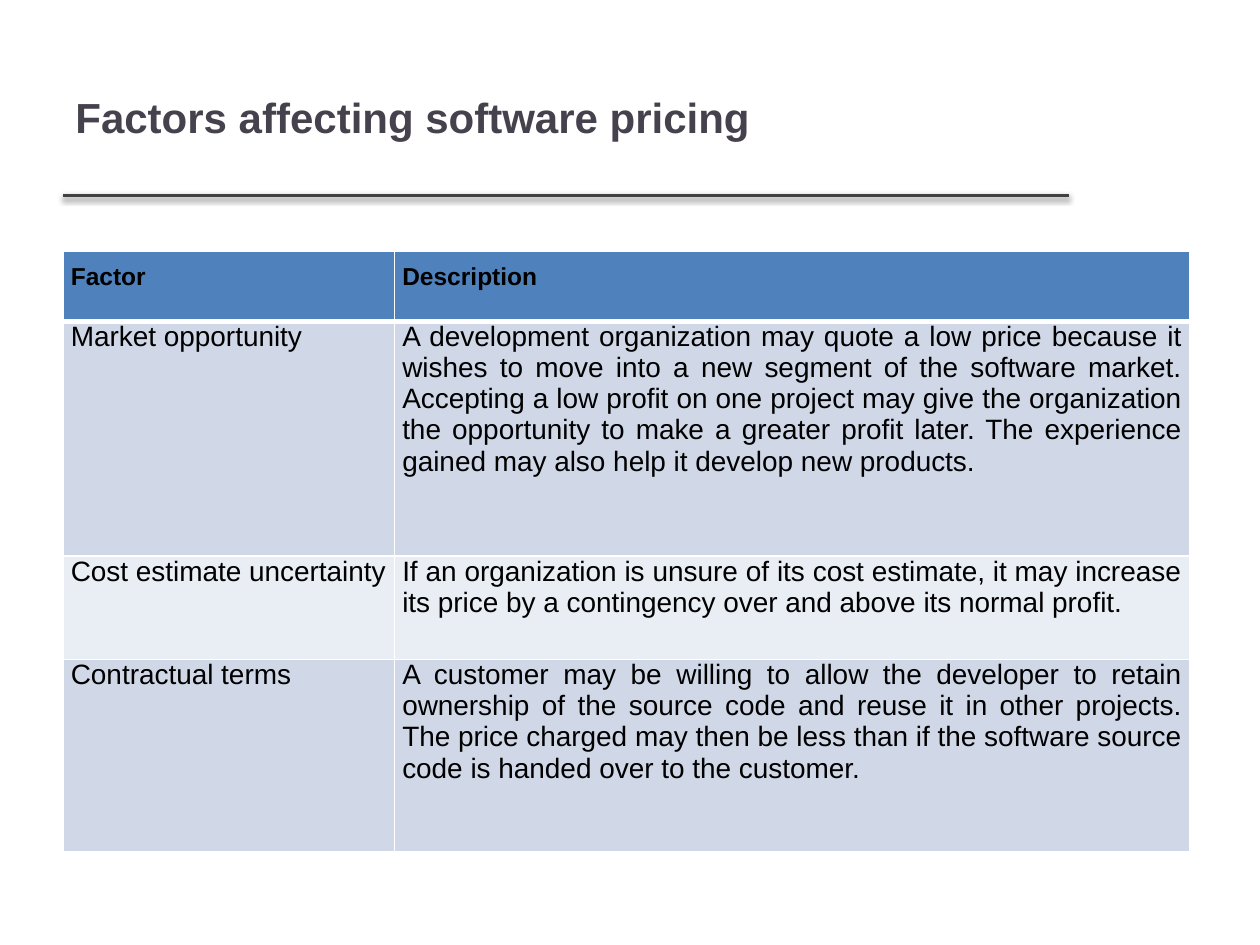
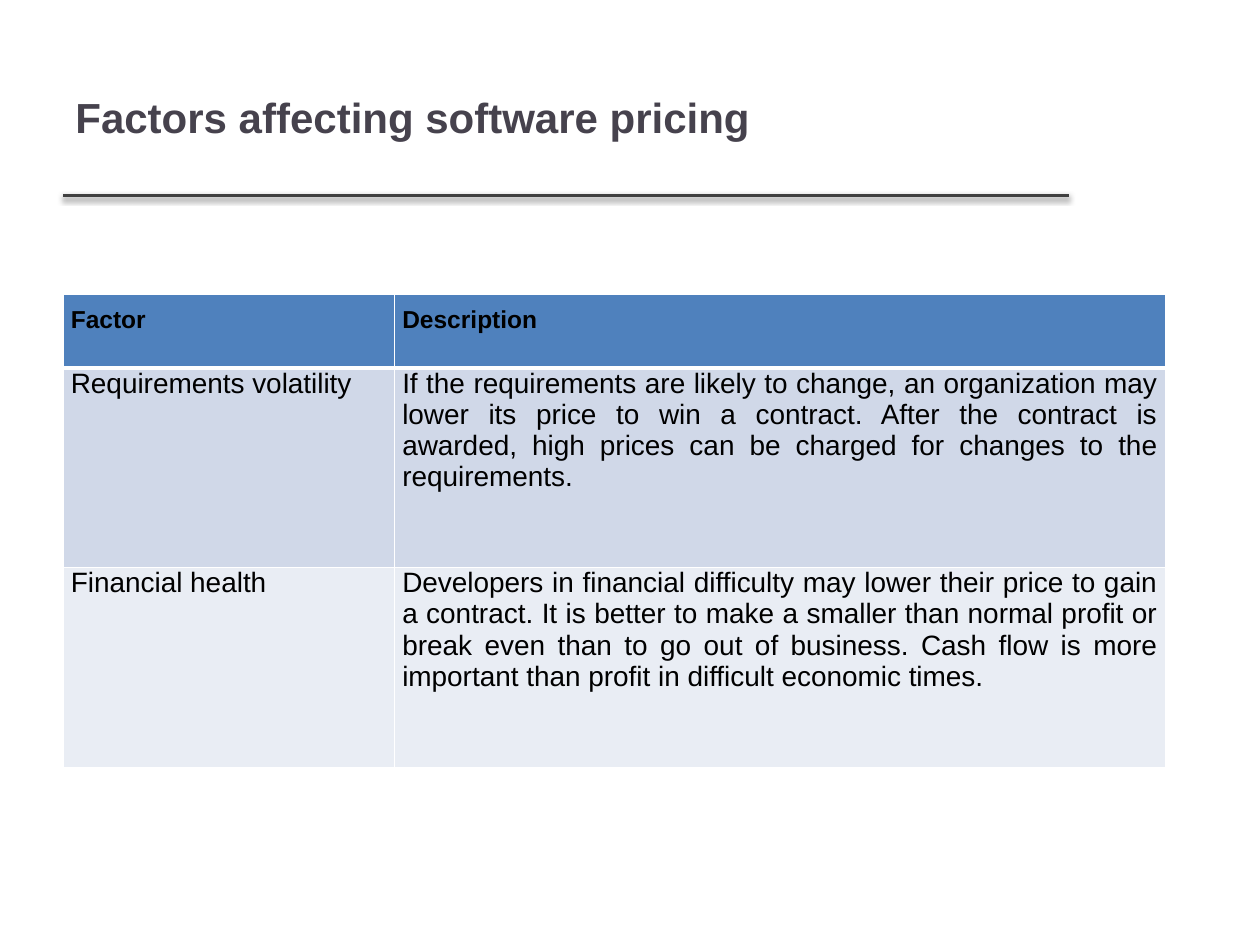
"""Builds two slides with tables of the factors that affect software pricing."""
from lxml import etree
from pptx import Presentation
from pptx import util as u
from pptx.dml.color import RGBColor
from pptx.enum import shapes, text
from pptx.oxml import parse_xml
from pptx.oxml.ns import nsdecls, qn

WHITE = RGBColor(0xFF, 0xFF, 0xFF)
BLACK = RGBColor(0x00, 0x00, 0x00)
TITLE = RGBColor(0x46, 0x42, 0x4D)
RULE = RGBColor(0x40, 0x40, 0x40)
HEADER = RGBColor(0x4F, 0x81, 0xBD)
BANDS = RGBColor(0xD0, 0xD8, 0xE8), RGBColor(0xE9, 0xED, 0xF4)


class Deck:
    font = "Arial"
    left = 36
    width = 574.6
    label_width = 189.4

    def __init__(self):
        self.prs = Presentation()
        self.prs.slide_width, self.prs.slide_height = u.Pt(720), u.Pt(540)
        self.s = None

    def slide(self, title):
        self.s = self.prs.slides.add_slide(self.prs.slide_layouts[6])
        self.s.background.fill.solid()
        self.s.background.fill.fore_color.rgb = WHITE
        self.rule()
        self.title(title)

    def set_words(self, tf, words, size, color, bold):
        p = tf.paragraphs[0]
        p.text = words
        for r in p.runs:
            r.font.name, r.font.size, r.font.bold = self.font, u.Pt(size), bold
            r.font.color.rgb = color
        return p

    def rule(self):
        y = u.Pt(111.6)
        sp = self.s.shapes.add_connector(
            shapes.MSO_CONNECTOR.STRAIGHT, u.Pt(self.left), y, u.Pt(self.left + self.width), y)
        sp.line.color.rgb, sp.line.width = RULE, u.Pt(2)
        sp._element.spPr.append(parse_xml(
            f'<a:effectLst {nsdecls("a")}><a:outerShdw blurRad="{u.Pt(3.1)}" dist="{u.Pt(1.6)}" '
            f'dir="5400000" rotWithShape="0"><a:srgbClr val="{BLACK}"><a:alpha val="38000"/>'
            '</a:srgbClr></a:outerShdw></a:effectLst>'))

    def title(self, words):
        sp = self.s.shapes.add_textbox(u.Pt(self.left), u.Pt(21.6), u.Pt(self.width), u.Pt(90))
        tf = sp.text_frame
        tf.word_wrap = True
        tf.vertical_anchor = text.MSO_ANCHOR.MIDDLE
        self.set_words(tf, words, 24, TITLE, True)

    def table(self, top, text_width, heights, rows):
        rows = [("Factor", "Description"), *rows]
        widths = self.label_width, text_width
        sp = self.s.shapes.add_table(
            len(rows), len(widths), u.Pt(self.left), u.Pt(top), u.Pt(sum(widths)), u.Pt(sum(heights)))
        table = sp.table
        for column, width in zip(table.columns, widths):
            column.width = u.Pt(width)
        for i, (height, row) in enumerate(zip(heights, rows)):
            table.rows[i].height = u.Pt(height)
            for j, words in enumerate(row):
                self.cell(table.cell(i, j), words, i, j)

    def cell(self, cell, words, i, j):
        header = i == 0
        cell.margin_left = cell.margin_right = u.Pt(4.5)
        cell.margin_top, cell.margin_bottom = u.Pt(7.2 if header else 0), u.Pt(7.2)
        p = self.set_words(cell.text_frame, words, 14 if header else 16, BLACK, header)
        justified = header or j == 1
        p.alignment = text.PP_ALIGN.JUSTIFY if justified else text.PP_ALIGN.LEFT
        self.borders(cell, top=3 if i == 1 else 1, bottom=3 if header else 1)
        cell.fill.solid()
        cell.fill.fore_color.rgb = HEADER if header else BANDS[(i - 1) % 2]

    def borders(self, cell, top, bottom):
        tcPr = cell._tc.get_or_add_tcPr()
        for side, width in (("L", 1), ("R", 1), ("T", top), ("B", bottom)):
            ln = etree.SubElement(tcPr, qn(f"a:ln{side}"), w=str(u.Pt(width)))
            fill = etree.SubElement(ln, qn("a:solidFill"))
            etree.SubElement(fill, qn("a:srgbClr"), val=str(WHITE))


deck = Deck()

deck.slide("Factors affecting software pricing")
deck.table(143.5, 454.5, (40.2, 134, 59.2, 109.6), [
    ("Market opportunity",
     "A development organization may quote a low price because it wishes to move into a new "
     "segment of the software market. Accepting a low profit on one project may give the "
     "organization the opportunity to make a greater profit later. The experience gained may "
     "also help it develop new products."),
    ("Cost estimate uncertainty",
     "If an organization is unsure of its cost estimate, it may increase its price by a "
     "contingency over and above its normal profit."),
    ("Contractual terms",
     "A customer may be willing to allow the developer to retain ownership of the source code "
     "and reuse it in other projects. The price charged may then be less than if the software "
     "source code is handed over to the customer."),
])

deck.slide("Factors affecting software pricing")
deck.table(168, 440.6, (42.2, 114.2, 114.2), [
    ("Requirements volatility",
     "If the requirements are likely to change, an organization may lower its price to win a "
     "contract. After the contract is awarded, high prices can be charged for changes to the "
     "requirements."),
    ("Financial health",
     "Developers in financial difficulty may lower their price to gain a contract. It is better "
     "to make a smaller than normal profit or break even than to go out of business. Cash flow "
     "is more important than profit in difficult economic times."),
])

deck.prs.save("out.pptx")
